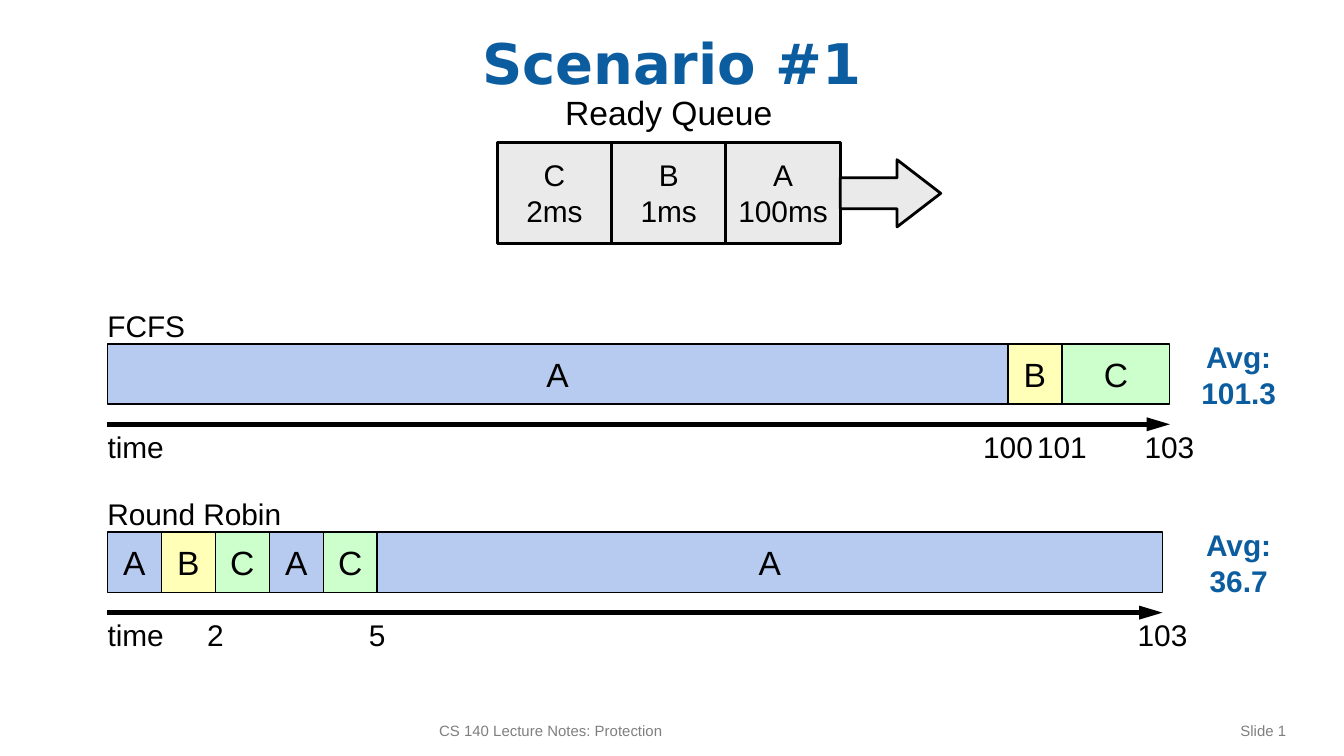
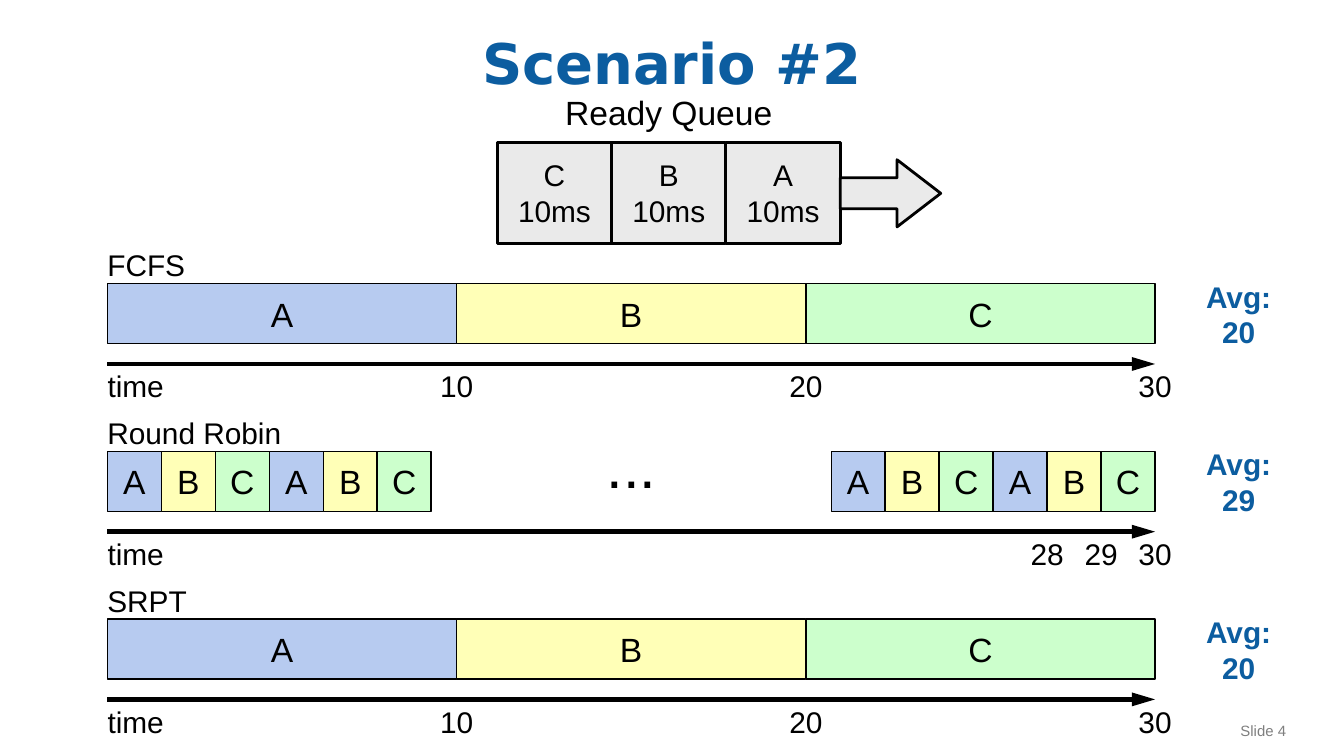
"""Build two slides that compare scheduling policies on a ready queue."""
from lxml import etree
from pptx import Presentation
from pptx import util as u
from pptx.dml.color import RGBColor
from pptx.enum import shapes, text
from pptx.oxml import ns

HUES = {
    "blue": "0C5DA0", "ink": "000000", "dim": "7F7F7F", "queue": "EAEAEA",
    "A": "B7CBF0", "B": "FFFFB7", "C": "CCFFCC",
}
LEFT, SLOT, THIRD = 2.03, 1.02, 6.6
WIDE = {"20", "30", "103"}
MID = text.MSO_ANCHOR.MIDDLE
ALIGN = {"l": text.PP_ALIGN.LEFT, "c": text.PP_ALIGN.CENTER,
         "r": text.PP_ALIGN.RIGHT}


class Deck:
    """Holds the style and the current slide."""

    def __init__(self):
        self.prs = Presentation()
        self.prs.slide_width, self.prs.slide_height = u.Cm(25.4), u.Cm(14.29)

    def begin(self, title, page, note=None):
        """Add a slide with its title and footer."""
        self.slide = self.prs.slides.add_slide(self.prs.slide_layouts[6])
        self.label(title, 0.85, 0.41, 23.7, 1.52, size=30, hue="blue",
                   bold=True, font="DejaVu Sans", frame=True)
        if note:
            self.label(note, 8.05, 13.51, 9.53, 0.61, "l", 8, "dim", frame=True)
        self.label(page, 18.21, 13.51, 6.35, 0.61, "r", 8, "dim", frame=True)

    def fill(self, frame, words, align, size, hue, bold=False, font="Arial"):
        """Set the words of a frame and format them."""
        frame.text = words
        for para in frame.paragraphs:
            para.alignment = ALIGN[align]
            for run in para.runs:
                run.font.name, run.font.size = font, u.Pt(size)
                run.font.bold = bold
                run.font.color.rgb = RGBColor.from_string(HUES[hue])

    def label(self, words, x, y, w, h=0.69, align="c", size=16, hue="ink",
              bold=False, font="Arial", wrap=True, frame=False):
        """Add a text box, tight unless it is a framed one."""
        box = self.slide.shapes.add_textbox(u.Cm(x), u.Cm(y), u.Cm(w), u.Cm(h))
        body = box.text_frame
        self.fill(body, words, align, size, hue, bold, font)
        body.word_wrap = wrap
        if frame:
            body.vertical_anchor = MID
        else:
            body.margin_left = body.margin_right = 0
            body.margin_top = body.margin_bottom = 0
            body.auto_size = text.MSO_AUTO_SIZE.SHAPE_TO_FIT_TEXT

    def block(self, words, x, y, w, h, hue, line=0.75, size=18,
              kind=shapes.MSO_SHAPE.RECTANGLE):
        """Add a filled, outlined shape with centred words."""
        box = self.slide.shapes.add_shape(
            kind, u.Cm(x), u.Cm(y), u.Cm(w), u.Cm(h))
        box.shadow.inherit = False
        box.fill.solid()
        box.fill.fore_color.rgb = RGBColor.from_string(HUES[hue])
        box.line.color.rgb = RGBColor.from_string(HUES["ink"])
        box.line.width = u.Pt(line)
        if words:
            self.fill(box.text_frame, words, "c", size, "ink")
            box.text_frame.word_wrap = False
            box.text_frame.vertical_anchor = MID
        return box

    def arrow(self, x, y, end):
        """Add a level time arrow."""
        axis = self.slide.shapes.add_connector(
            shapes.MSO_CONNECTOR.STRAIGHT, u.Cm(x), u.Cm(y), u.Cm(end), u.Cm(y))
        axis.line.color.rgb = RGBColor.from_string(HUES["ink"])
        axis.line.width = u.Pt(2.5)
        props = axis.element.spPr
        etree.SubElement(props.find(ns.qn("a:ln")), ns.qn("a:tailEnd"),
                         type="triangle", w="med", len="lg")
        etree.SubElement(props, ns.qn("a:effectLst"))

    def queue(self, jobs):
        """Draw the ready queue, its last job leaving first."""
        x, y, w = 9.4, 2.69, 2.16
        self.label("Ready Queue", x, 1.73, 3 * w, 0.76, size=18)
        for i, (name, cost) in enumerate(jobs):
            self.block(f"{name}\v{cost}ms", x + i * w, y, w, 1.91,
                       "queue", 1.5, 16)
        out = self.block("", x + 3 * w, 3.02, 1.9, 1.27, "queue", 1.5,
                         kind=shapes.MSO_SHAPE.RIGHT_ARROW)
        out.adjustments[0], out.adjustments[1] = 0.46, 0.65

    def bars(self, jobs, x, y):
        """Draw adjoining (job, width) bars and return their right edge."""
        for name, w in jobs:
            self.block(name, x, y, w, 1.14, name)
            x += w
        return x

    def chart(self, name, wide, y, runs, ticks, mean):
        """Draw a timeline of (start, bars) runs with its ticks and average."""
        self.label(name, LEFT, y - 0.69, wide, align="l", wrap=False)
        for x, jobs in runs:
            end = self.bars(jobs, x, y)
        self.arrow(LEFT, y + 1.52, end)
        self.label("time", LEFT, y + 1.6, 1.07, wrap=False)
        for mark, x in ticks:
            w = 1.27 if mark in WIDE else SLOT
            self.label(mark, x - w / 2, y + 1.6, w)
        w = 1.42 if len(mean) > 4 else 1.24
        self.label(f"Avg:\v{mean}", 23.41 - w / 2, y - 0.1, w, 1.37,
                   hue="blue", bold=True, wrap=False)


def first(deck):
    """Build the slide with one long job."""
    deck.begin("Scenario #1", "Slide 1", "CS 140 Lecture Notes: Protection")
    deck.queue([("C", 2), ("B", 1), ("A", 100)])
    deck.chart("FCFS", 1.47, 6.5,
               [(LEFT, [("A", 17.02), ("B", SLOT), ("C", 2 * SLOT)])],
               [("100", 19.05), ("101", 20.07), ("103", 22.1)], "101.3")
    turns = [(job, SLOT) for job in "ABCAC"]
    deck.chart("Round Robin", 3.33, 10.06,
               [(LEFT, turns + [("A", 14.84)])],
               [("2", LEFT + 2 * SLOT), ("5", LEFT + 5 * SLOT),
                ("103", 21.97)], "36.7")


def second(deck):
    """Build the slide with three equal jobs."""
    deck.begin("Scenario #2", "Slide 4")
    deck.queue([(job, 10) for job in "CBA"])
    end = LEFT + 3 * THIRD
    whole = [(LEFT, [(job, THIRD) for job in "ABC"])]
    tens = [(str(10 * i), LEFT + i * THIRD) for i in (1, 2, 3)]
    turns = [(job, SLOT) for job in "ABCABC"]
    parts = [(LEFT, turns), (end - 6 * SLOT, turns)]
    late = [(str(30 - i), end - i * SLOT) for i in (2, 1, 0)]
    rows = [("FCFS", 1.47, whole, tens, "20"),
            ("Round Robin", 3.33, parts, late, "29"),
            ("SRPT", 1.52, whole, tens, "20")]
    for i, (name, wide, runs, ticks, mean) in enumerate(rows):
        deck.chart(name, wide, 5.36 + i * 3.17, runs, ticks, mean)
    deck.label("...", 8.13, 8.1, 7.62, 1.37, size=32)


def main():
    """Build and save the deck."""
    deck = Deck()
    first(deck)
    second(deck)
    deck.prs.save("out.pptx")


if __name__ == "__main__":
    main()
